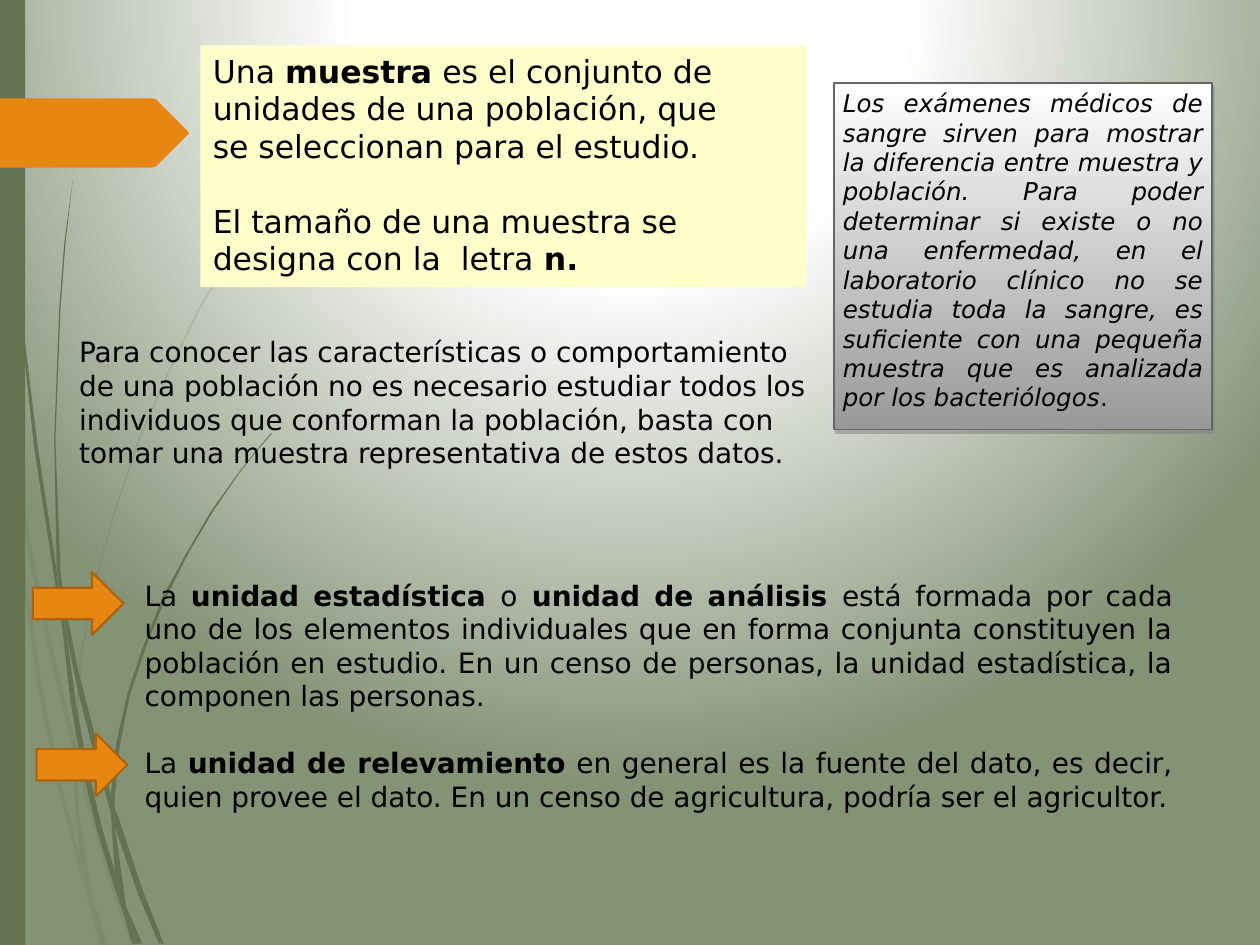
from copy import deepcopy

from lxml import etree
from pptx import Presentation
from pptx.dml.color import RGBColor
from pptx.enum.shapes import MSO_SHAPE
from pptx.enum.text import MSO_ANCHOR, PP_ALIGN
from pptx.oxml import parse_xml
from pptx.oxml.ns import qn
from pptx.util import Inches, Pt

RECTANGLE, RIGHT_ARROW = MSO_SHAPE.RECTANGLE, MSO_SHAPE.RIGHT_ARROW
LEFT, JUSTIFY, TOP = PP_ALIGN.LEFT, PP_ALIGN.JUSTIFY, MSO_ANCHOR.TOP
FONT = "DejaVu Sans"
DRAWING_NS = "http://schemas.openxmlformats.org/drawingml/2006/main"
COLORS = {
    "white": "FFFFFF", "sage": "849276", "moss": "647252", "orange": "E78712",
    "rust": "AB640D", "cream": "FFFFCC", "gray": "999999", "edge": "666666",
    "shadow": "808080", "text": "000000",
}
PALE_STEMS = [
    [(8, 350), (6, 322), (0, 282), (0, 299), (7, 344)],
    [(40, 522), (59, 599), (59, 586), (43, 520), (25, 435), (10, 345), (12, 376), (24, 450)],
    [(64, 607), (61, 596), (61, 610), (85, 694), (104, 751), (108, 751), (88, 692)],
    [(83, 751), (86, 751), (73, 711)],
    [(64, 683), (48, 619), (33, 544), (22, 469), (12, 376), (8, 350), (19, 470), (30, 546),
     (45, 621), (64, 693), (70, 714)],
    [(58, 599), (60, 646), (64, 683), (73, 711), (63, 646), (61, 610)],
    [(61, 584), (65, 522), (76, 462), (92, 405), (111, 349), (134, 296), (159, 245), (187, 198),
     (201, 175), (217, 154), (217, 153), (201, 175), (186, 197), (158, 244), (133, 295),
     (110, 348), (91, 404), (75, 461), (63, 522), (59, 584), (61, 596)],
    [(70, 714), (79, 751), (82, 751)],
    [(61, 608), (61, 596), (59, 586), (58, 599)],
    [(67, 692), (65, 683), (70, 714), (82, 751), (83, 751), (73, 711)],
]
DARK_STEMS = [
    [(5, 110), (14, 233), (27, 355), (46, 477), (47, 481), (45, 453), (30, 355), (15, 232),
     (6, 109), (4, 48), (3, 0), (2, 0), (3, 48)],
    [(73, 592), (88, 645), (88, 631), (77, 590), (62, 532), (50, 472), (53, 505), (62, 549)],
    [(94, 649), (91, 641), (91, 656), (109, 708), (126, 749), (130, 749), (113, 706)],
    [(91, 691), (81, 657), (69, 607), (60, 556), (53, 505), (47, 477), (56, 557), (65, 609),
     (77, 659), (92, 708), (97, 722)],
    [(50, 472), (48, 453), (44, 349), (48, 245), (52, 193), (58, 141), (51, 193), (47, 245),
     (43, 349), (45, 449), (49, 472)],
    [(110, 749), (113, 749), (100, 719)],
    [(47, 477), (53, 505), (50, 472), (45, 449)],
    [(91, 633), (95, 592), (103, 552), (116, 513), (131, 476), (149, 440), (169, 406), (191, 374),
     (203, 359), (216, 344), (215, 344), (203, 358), (191, 373), (168, 405), (148, 439),
     (129, 474), (114, 512), (101, 551), (92, 591), (88, 631), (91, 641)],
    [(97, 722), (105, 749), (108, 749)],
    [(88, 645), (91, 691), (100, 719), (94, 676), (91, 656)],
    [(88, 645), (91, 656), (91, 641), (88, 631)],
    [(96, 706), (91, 691), (97, 722), (108, 749), (110, 749), (100, 719)],
]
TAG = [(149, 107), (124, 132), (121, 133), (0, 133), (0, 78), (121, 78), (124, 79), (149, 104), (150, 105.5)]


def rgb(name):
    """Return the palette colour with the given name."""
    return RGBColor.from_string(COLORS[name])


def paint(shape, fill, line=None, width=1.0):
    """Give a shape a flat fill and an optional outline, without shadow."""
    shape.shadow.inherit = False
    shape.fill.solid()
    shape.fill.fore_color.rgb = rgb(fill)
    if line:
        shape.line.color.rgb = rgb(line)
        shape.line.width = Pt(width)
    else:
        shape.line.fill.background()
    return shape


def add_block(slide, box, kind, fill, line=None, width=1.0):
    """Add a painted preset shape in a box given in inches."""
    shape = slide.shapes.add_shape(kind, *map(Inches, box))
    return paint(shape, fill, line, width)


def add_outline(slide, points, fill, alpha=None):
    """Add a closed outline whose points are hundredths of an inch."""
    builder = slide.shapes.build_freeform(*points[0], scale=Inches(0.01))
    builder.add_line_segments(points[1:], close=True)
    outline = paint(builder.convert_to_shape(), fill)
    if alpha:
        color = outline.element.spPr.find(qn("a:solidFill"))[0]
        etree.SubElement(color, qn("a:alpha")).set("val", str(alpha * 1000))


def write(shape, paragraphs, size, align=LEFT, emphasis="bold", gap_before=(), gap=0, inset=(0.1, 0.05)):
    """Write paragraphs in which asterisks enclose the emphasised words."""
    frame = shape.text_frame
    frame.word_wrap = True
    frame.vertical_anchor = TOP
    frame.margin_left = frame.margin_right = Inches(inset[0])
    frame.margin_top = frame.margin_bottom = Inches(inset[1])
    for index, content in enumerate(paragraphs):
        paragraph = frame.add_paragraph() if index else frame.paragraphs[0]
        paragraph.alignment = align
        if index in gap_before:
            paragraph.space_before = Pt(gap)
        for position, piece in enumerate(content.split("*")):
            if piece:
                run = paragraph.add_run()
                run.text = piece
                run.font.name, run.font.size = FONT, Pt(size)
                run.font.color.rgb = rgb("text")
                setattr(run.font, emphasis, position % 2 == 1)


def set_gradient(fill, start, end):
    """Set a two-colour gradient and return its stops."""
    fill.gradient()
    for stop, color, position in zip(fill.gradient_stops, (start, end), (0, 1)):
        stop.color.rgb = rgb(color)
        stop.position = position


def draw_backdrop(slide):
    """Paint the radial background, the stems, the side band and the tag."""
    set_gradient(slide.background.fill, "white", "sage")
    gradient = next(slide.element.iter(qn("a:gradFill")))
    stops = gradient.find(qn("a:gsLst"))
    middle = deepcopy(stops[0])
    middle.set("pos", "35000")
    stops.insert(1, middle)
    gradient.replace(gradient.find(qn("a:lin")), parse_xml(
        f'<a:path xmlns:a="{DRAWING_NS}" path="circle">'
        '<a:fillToRect l="50000" t="-80000" r="50000" b="180000"/></a:path>'))
    for stem in PALE_STEMS:
        add_outline(slide, stem, "moss", alpha=20)
    for stem in DARK_STEMS:
        add_outline(slide, stem, "moss")
    add_block(slide, (0, 0, 0.2, 7.5), RECTANGLE, "moss")
    add_outline(slide, TAG, "orange")


def draw_definition(slide, box):
    """Place the definition of a sample on its cream panel."""
    panel = add_block(slide, box, RECTANGLE, "cream")
    write(panel, [
        "Una *muestra* es el conjunto de",
        "unidades de una población, que",
        "se seleccionan para el estudio.",
        "El tamaño de una muestra se designa con la  letra *n.*",
    ], 18, gap_before=(3,), gap=21)


def draw_example(slide, box):
    """Place the blood test example on its shaded panel."""
    panel = add_block(slide, box, RECTANGLE, "white", "edge")
    set_gradient(panel.fill, "white", "gray")
    panel.fill.gradient_angle = 270
    effects = panel.element.spPr.find(qn("a:effectLst"))
    effects.append(parse_xml(
        f'<a:outerShdw xmlns:a="{DRAWING_NS}" blurRad="0" dist="{Pt(2.2)}" dir="{63 * 60000}">'
        f'<a:srgbClr val="{COLORS["shadow"]}"><a:alpha val="50000"/></a:srgbClr></a:outerShdw>'))
    write(panel, [
        "*Los exámenes médicos de sangre sirven para mostrar la diferencia entre muestra y "
        "población. Para poder determinar si existe o no una enfermedad, en el laboratorio "
        "clínico no se estudia toda la sangre, es suficiente con una pequeña muestra que es "
        "analizada por los bacteriólogos*.",
    ], 14, JUSTIFY, "italic", inset=(0.07, 0.04))


def draw_explanation(slide, box):
    """Place the paragraph on why a sample is enough."""
    write(slide.shapes.add_textbox(*map(Inches, box)), [
        "Para conocer las características o comportamiento de una población no es necesario "
        "estudiar todos los individuos que conforman la población, basta con tomar una muestra "
        "representativa de estos datos.",
    ], 16)


def draw_units(slide, box):
    """Place the two definitions of units with an arrow beside each."""
    left, top = box[:2]
    write(slide.shapes.add_textbox(*map(Inches, box)), [
        "La *unidad estadística *o* unidad de análisis *está formada por cada uno de los elementos "
        "individuales que en forma conjunta constituyen la población en estudio. En un censo de "
        "personas, la unidad estadística, la componen las personas.",
        "La *unidad de relevamiento* en general es la fuente del dato, es decir, quien provee el "
        "dato. En un censo de agricultura, podría ser el agricultor.",
    ], 16, JUSTIFY, gap_before=(1,), gap=19)
    for dx, dy in ((-0.79, 0), (-0.76, 1.28)):
        add_block(slide, (left + dx, top + dy, 0.72, 0.5), RIGHT_ARROW, "orange", "rust", 1.25)


def main():
    """Build the slide and save it."""
    deck = Presentation()
    deck.slide_width, deck.slide_height = Inches(10), Inches(7.5)
    slide = deck.slides.add_slide(deck.slide_layouts[6])
    draw_backdrop(slide)
    draw_units(slide, (1.05, 4.54, 8.36, 2.41))
    draw_explanation(slide, (0.53, 2.61, 6.09, 1.6))
    draw_example(slide, (6.62, 0.66, 3, 2.75))
    draw_definition(slide, (1.59, 0.36, 4.81, 1.92))
    deck.save("out.pptx")


if __name__ == "__main__":
    main()
